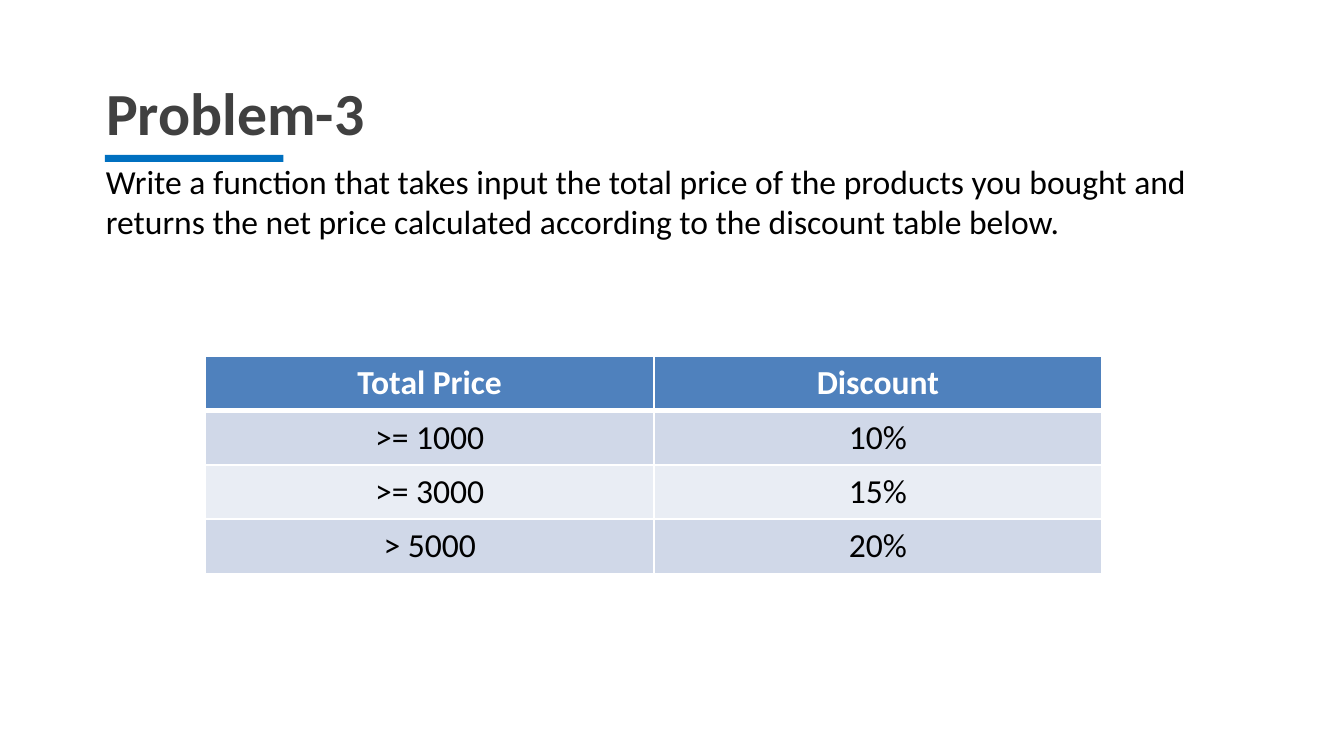
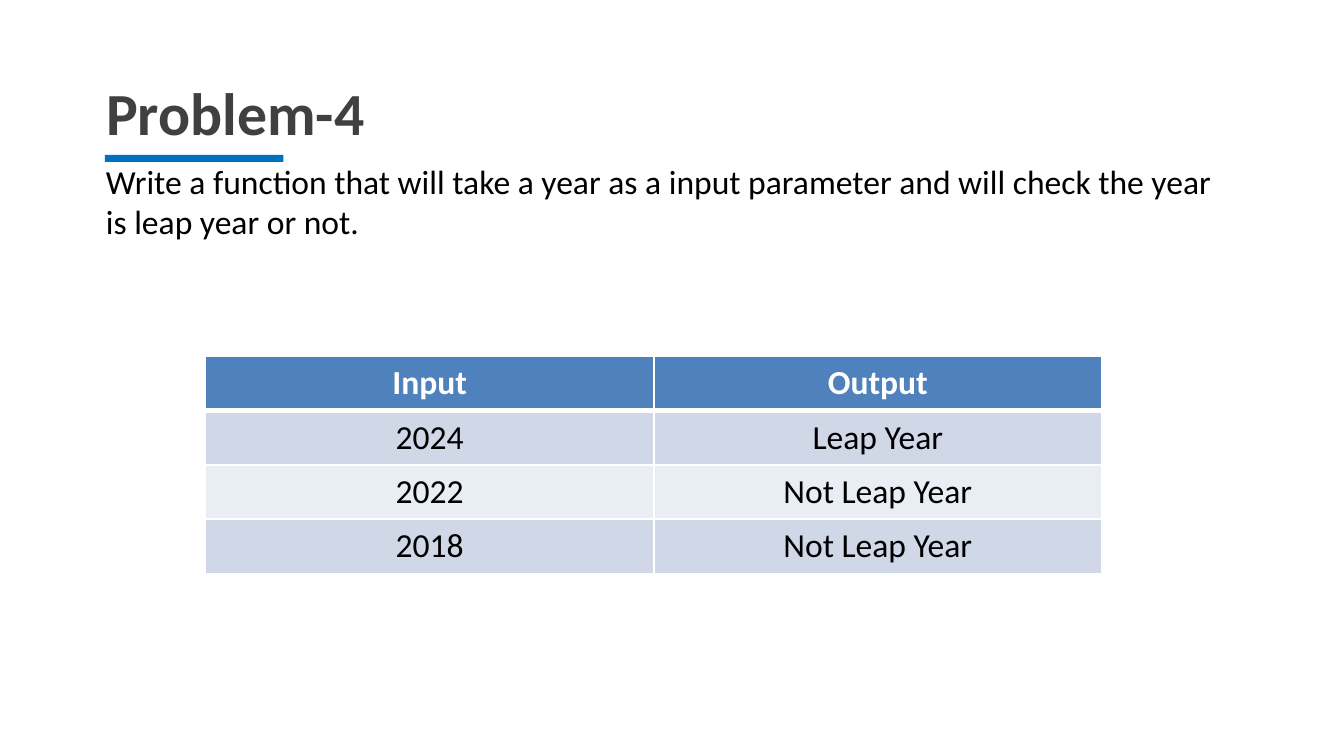
from pptx import Presentation
from pptx.dml.color import RGBColor
from pptx.enum.shapes import MSO_SHAPE
from pptx.enum.text import MSO_ANCHOR, MSO_AUTO_SIZE, PP_ALIGN
from pptx.oxml.ns import qn
from pptx.util import Inches, Pt
from lxml.etree import SubElement

COLORS = {
    "title": "404040",
    "text": "000000",
    "accent": "0070C0",
    "header": "4F81BD",
    "band_dark": "D0D8E8",
    "band_light": "E9EDF4",
    "white": "FFFFFF",
}

PROBLEMS = [
    (
        "Problem-3",
        "Write a function that takes input the total price of the products you bought "
        "and returns the net price calculated according to the discount table below.",
        [
            ("Total Price", "Discount"),
            (">= 1000", "10%"),
            (">= 3000", "15%"),
            ("> 5000", "20%"),
        ],
    ),
    (
        "Problem-4",
        "Write a function that will take a year as a input parameter and will check "
        "the year is leap year or not.",
        [
            ("Input", "Output"),
            ("2024", "Leap Year"),
            ("2022", "Not Leap Year"),
            ("2018", "Not Leap Year"),
        ],
    ),
]


class Deck:
    """Holds the style and the current slide; lengths are percentages of the slide size."""

    font = "Calibri"

    def __init__(self):
        self.prs = Presentation()
        self.prs.slide_width = Inches(10)
        self.prs.slide_height = Inches(5.625)
        self.s = None

    def box(self, x, y, w, h):
        sw, sh = self.prs.slide_width, self.prs.slide_height
        return [round(v * size / 100) for v, size in ((x, sw), (y, sh), (w, sw), (h, sh))]

    def new_slide(self):
        self.s = self.prs.slides.add_slide(self.prs.slide_layouts[5])

    def put_text(self, tf, text, size, color, bold=False, align=PP_ALIGN.LEFT):
        tf.text = text
        p = tf.paragraphs[0]
        p.alignment = align
        for r in p.runs:
            r.font.name = self.font
            r.font.size = Pt(size)
            r.font.bold = bold
            r.font.color.rgb = RGBColor.from_string(COLORS[color])

    def fit(self, tf):
        tf.word_wrap = True
        tf.auto_size = MSO_AUTO_SIZE.SHAPE_TO_FIT_TEXT
        tf.vertical_anchor = MSO_ANCHOR.TOP

    def title(self, text, x, y, w, h):
        sp = self.s.shapes.title
        sp.left, sp.top, sp.width, sp.height = self.box(x, y, w, h)
        self.fit(sp.text_frame)
        self.put_text(sp.text_frame, text, 32, "title", bold=True)

    def text(self, text, x, y, w, h):
        tf = self.s.shapes.add_textbox(*self.box(x, y, w, h)).text_frame
        self.fit(tf)
        self.put_text(tf, text, 18, "text")

    def bar(self, x, y, w, h):
        sp = self.s.shapes.add_shape(MSO_SHAPE.RECTANGLE, *self.box(x, y, w, h))
        sp.shadow.inherit = False
        sp.fill.solid()
        sp.fill.fore_color.rgb = RGBColor.from_string(COLORS["accent"])
        sp.line.fill.background()

    def borders(self, cell, top, bottom):
        tcPr = cell._tc.get_or_add_tcPr()
        for side, width in (("L", 1), ("R", 1), ("T", top), ("B", bottom)):
            ln = SubElement(tcPr, qn(f"a:ln{side}"), w=str(Pt(width)))
            fill = SubElement(ln, qn("a:solidFill"))
            SubElement(fill, qn("a:srgbClr"), val=COLORS["white"])

    def table(self, rows, x, y, w, h):
        shape = self.s.shapes.add_table(len(rows), len(rows[0]), *self.box(x, y, w, h))
        for i, row in enumerate(rows):
            head = i == 0
            band = "header" if head else ("band_light", "band_dark")[i % 2]
            for j, value in enumerate(row):
                cell = shape.table.cell(i, j)
                self.borders(cell, 3 if i == 1 else 1, 3 if head else 1)
                cell.fill.solid()
                cell.fill.fore_color.rgb = RGBColor.from_string(COLORS[band])
                color = "white" if head else "text"
                self.put_text(cell.text_frame, value, 18, color, head, PP_ALIGN.CENTER)


def main():
    deck = Deck()
    for title, task, rows in PROBLEMS:
        deck.new_slide()
        deck.title(title, 6.9, 9.07, 83.3, 11.38)
        deck.text(task, 6.9, 20.44, 84.7, 12.6)
        deck.table(rows, 15.3, 47.1, 66.7, 28.8)
        deck.bar(7.8, 20.5, 13.3, 0.9)
    deck.prs.save("out.pptx")


if __name__ == "__main__":
    main()
